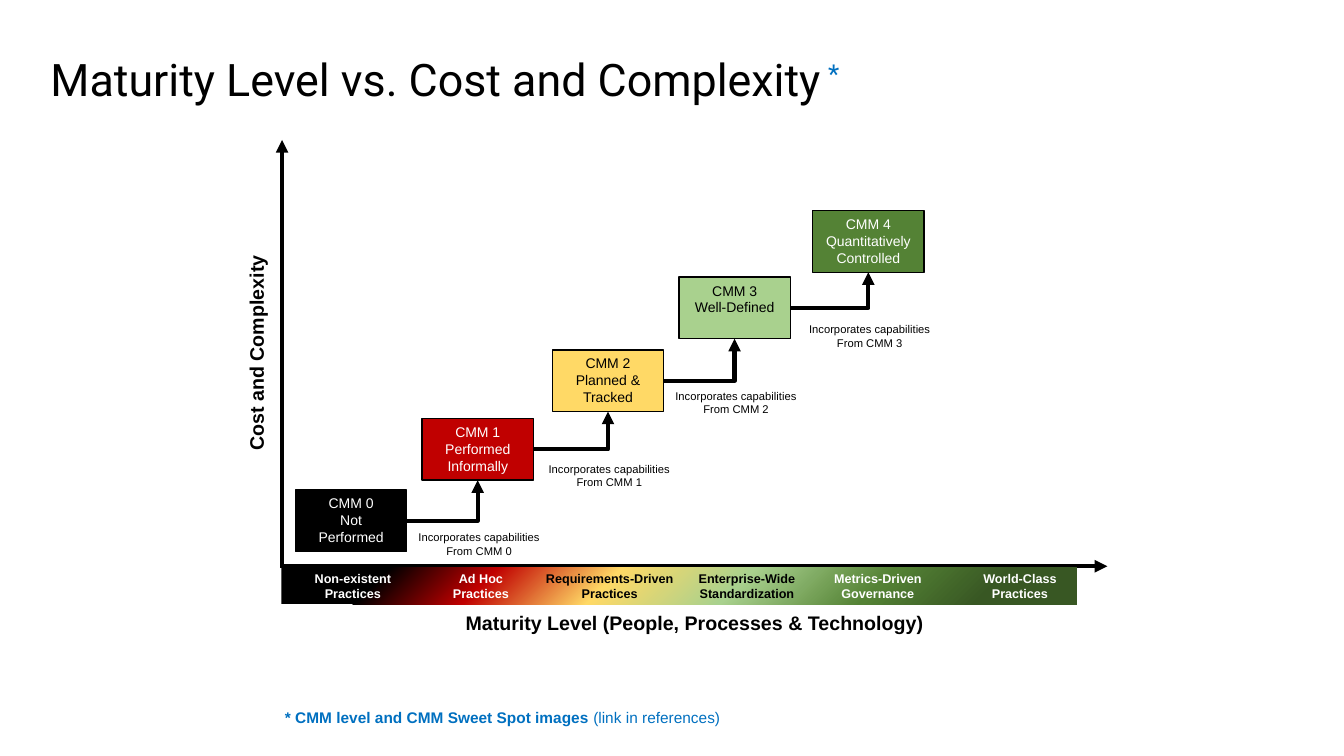
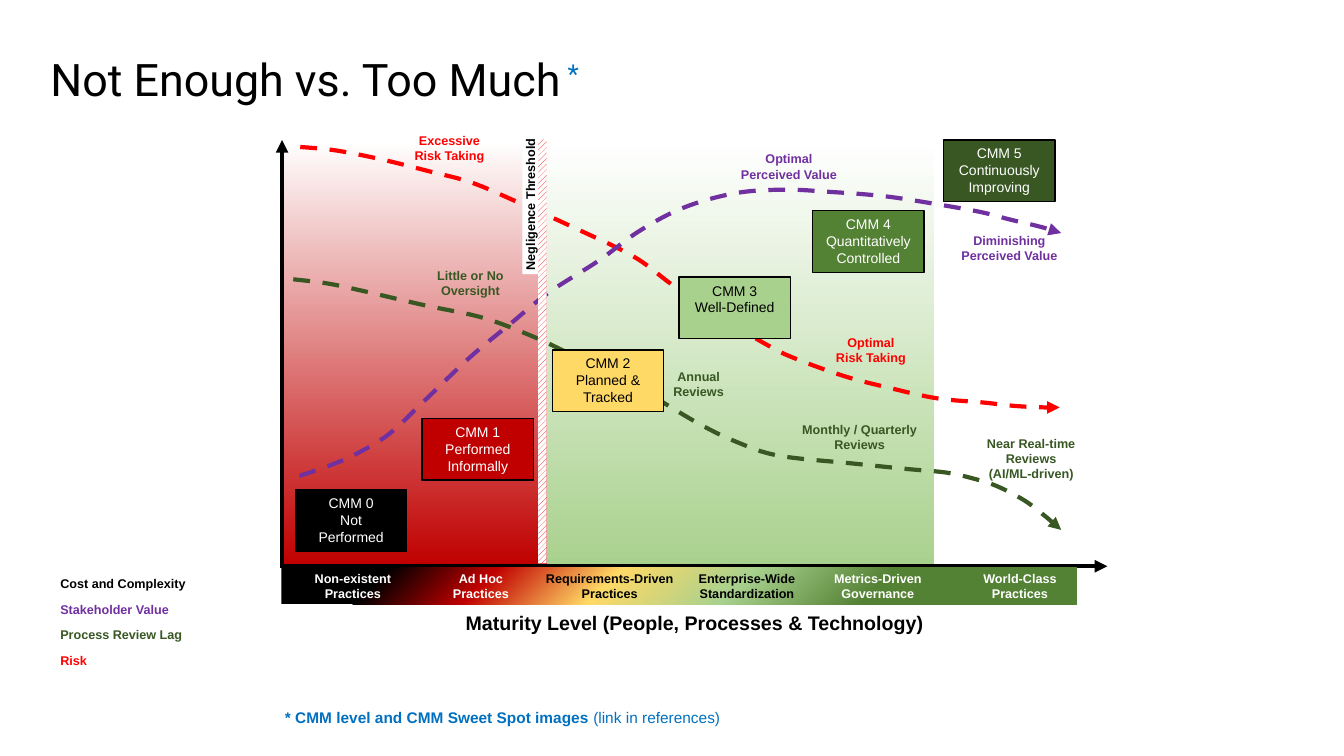
from dataclasses import dataclass
from itertools import pairwise

from lxml.etree import SubElement
from pptx import Presentation
from pptx.dml.color import RGBColor
from pptx.enum.dml import MSO_LINE, MSO_PATTERN
from pptx.enum.shapes import MSO_CONNECTOR, MSO_SHAPE
from pptx.enum.text import MSO_ANCHOR, MSO_AUTO_SIZE, PP_ALIGN
from pptx.oxml.ns import qn
from pptx.util import Pt


@dataclass(frozen=True)
class Theme:
    black: str = "000000"
    white: str = "FFFFFF"
    blue: str = "0070C0"
    crimson: str = "C00000"
    red: str = "FF0000"
    gold: str = "FFD966"
    light: str = "A9D18E"
    green: str = "548235"
    dark: str = "385723"
    purple: str = "7030A0"
    head: str = "Roboto"
    body: str = "Arial"
    title: int = 32
    axis: int = 14
    foot: int = 11
    level: int = 10
    label: int = 9
    small: int = 8
    thick: int = 3
    thin: int = 1


T = Theme()
LEFT, BASE, TOP = 201.5, 404.5, 100
BOX_W, BOX_H = 79.5, 44
NOTE_W = 110

# text, left, top, fill, text colour
LEVELS = [
    ("CMM 0\nNot\nPerformed", 211, 350, T.black, T.white),
    ("CMM 1\nPerformed\nInformally", 301.5, 299, T.crimson, T.white),
    ("CMM 2\nPlanned & Tracked", 394.5, 250, T.gold, T.black),
    ("CMM 3\nWell-Defined", 485, 198, T.light, T.black),
    ("CMM 4\nQuantitatively\nControlled", 580.5, 150.5, T.green, T.white),
    ("CMM 5\nContinuously\nImproving", 674, 100, T.dark, T.white),
]
# text, centre, colour
STAGES = [
    ("Non-existent\nPractices", 252, T.white),
    ("Ad Hoc\nPractices", 343.5, T.white),
    ("Requirements-Driven\nPractices", 435.5, T.black),
    ("Enterprise-Wide\nStandardization", 533.5, T.black),
    ("Metrics-Driven\nGovernance", 627, T.white),
    ("World-Class\nPractices", 728.5, T.white),
]
# text, centre, top, colour
NOTES = [
    ("Excessive\nRisk Taking", 321, 91.5, T.red),
    ("Optimal\nRisk Taking", 622, 235.5, T.red),
    ("Little or No\nOversight", 336, 188, T.dark),
    ("Annual\nReviews", 499, 260, T.dark),
    ("Monthly / Quarterly\nReviews", 614, 298, T.dark),
    ("Near Real-time\nReviews\n(AI/ML-driven)", 736.5, 307.5, T.dark),
    ("Optimal\nPerceived Value", 563.5, 104.5, T.purple),
    ("Diminishing\nPerceived Value", 721, 163, T.purple),
]
LEGEND = [
    ("Cost and Complexity", T.black),
    ("Stakeholder Value", T.purple),
    ("Process Review Lag", T.dark),
    ("Risk", T.red),
]
REVIEW = [
    (209.5, 199.5), (234, 202.5), (260, 208), (303, 218), (345, 227),
    (381, 240.5), (409, 253.5), (440.5, 267), (461.5, 280), (499, 302.5),
    (527, 316), (556.5, 325.5), (608.5, 331), (648, 335), (675.5, 337.5),
    (694, 341.5), (711.5, 347), (731, 357), (744.5, 367), (758, 378.5),
]
RISK = [
    (214.5, 105), (240, 107.5), (273, 114), (307, 122.5), (337, 130.5),
    (370, 144.5), (413, 164), (453, 183.5), (481, 204), (517, 228),
    (550, 247.5), (569, 256.5), (604, 269), (635, 277), (669, 284.5),
    (702, 287.5), (725, 290), (745, 291), (757, 291),
]
VALUE = [
    (214, 340), (237, 332), (255, 324), (278, 310), (303, 286.5),
    (336, 255), (365, 231), (392, 209), (428, 186), (456, 165.5),
    (488, 148.5), (525.5, 138), (561, 135.5), (591, 137), (625, 139.5),
    (651.5, 143), (698, 151), (722, 157), (743, 162), (758, 166.5),
]


def rgb(color):
    return RGBColor.from_string(color)


def style(frame, size, color, bold=False, align=PP_ALIGN.CENTER, face=T.body):
    frame.word_wrap = True
    for para in frame.paragraphs:
        para.alignment = align
        font = para.font
        font.name, font.size, font.bold = face, Pt(size), bold
        font.color.rgb = rgb(color)


def inset(frame, gap):
    frame.margin_left = frame.margin_right = Pt(gap)
    frame.margin_top = frame.margin_bottom = Pt(gap)


def stroke(line, color, width, arrow=True):
    line.color.rgb = rgb(color)
    line.width = Pt(width)
    if arrow:
        SubElement(line._get_or_add_ln(), qn("a:tailEnd"), type="triangle")


def blend(shape, stops, angle):
    """Fill with (percent, colour) stops; the angle runs clockwise."""
    shape.fill.gradient()
    shape.fill.gradient_angle = 360 - angle
    group = shape._element.spPr.find(qn("a:gradFill")).find(qn("a:gsLst"))
    for stop in list(group):
        group.remove(stop)
    for place, color in stops:
        stop = SubElement(group, qn("a:gs"), pos=str(place * 1000))
        SubElement(stop, qn("a:srgbClr"), val=color)


def bend(shape):
    """Turn the straight parts of a freeform into a smooth spline."""
    track = next(shape._element.iter(qn("a:path")))
    knots = [(int(p.get("x")), int(p.get("y"))) for p in track.iter(qn("a:pt"))]
    ends = [knots[0], *knots, knots[-1]]
    for line in track.findall(qn("a:lnTo")):
        track.remove(line)
    for i, (a, b) in enumerate(pairwise(knots)):
        before, after = ends[i], ends[i + 3]
        first = [p + (q - o) / 6 for p, q, o in zip(a, b, before)]
        second = [q - (n - p) / 6 for p, q, n in zip(a, b, after)]
        curve = SubElement(track, qn("a:cubicBezTo"))
        for x, y in (first, second, b):
            SubElement(curve, qn("a:pt"), x=str(round(x)), y=str(round(y)))


class Deck:
    def __init__(self):
        self.file = Presentation()
        self.file.slide_width, self.file.slide_height = Pt(960), Pt(540)
        self.shapes = None

    def page(self, title):
        """Start a slide with its starred title and the footnote."""
        self.shapes = self.file.slides.add_slide(self.file.slide_layouts[5]).shapes
        head = self.shapes.title
        head.left, head.top, head.width, head.height = map(Pt, (36, 36, 888, 41))
        frame = head.text_frame
        frame.auto_size = MSO_AUTO_SIZE.NONE
        frame.vertical_anchor = MSO_ANCHOR.MIDDLE
        inset(frame, 0)
        frame.text = title
        star = frame.paragraphs[0].add_run()
        star.text = " *"
        star.font.color.rgb = rgb(T.blue)
        star.font._element.set("baseline", "30000")
        style(frame, T.title, T.black, align=PP_ALIGN.LEFT, face=T.head)
        foot = self.text("* CMM level and CMM Sweet Spot images ", 196.5, 502.5,
                         479.5, 20.5, T.foot, T.blue, True, PP_ALIGN.LEFT)
        link = foot.text_frame.paragraphs[0].add_run()
        link.text = "(link in references)"
        link.font.bold = False

    def text(self, words, x, y, w, h, size, color, bold=True, align=PP_ALIGN.CENTER):
        box = self.shapes.add_textbox(*map(Pt, (x, y, w, h)))
        box.text_frame.text = words
        style(box.text_frame, size, color, bold, align)
        return box

    def note(self, words, mid, y, color, size=T.label, bold=True):
        """Add a small label centred on mid."""
        high = 7.5 + 10.5 * len(words.split("\n"))
        self.text(words, mid - NOTE_W / 2, y, NOTE_W, high, size, color, bold)

    def rect(self, x, y, w, h):
        shape = self.shapes.add_shape(MSO_SHAPE.RECTANGLE, *map(Pt, (x, y, w, h)))
        shape.shadow.inherit = False
        shape.line.fill.background()
        return shape

    def level(self, words, x, y, fill, color):
        box = self.rect(x, y, BOX_W, BOX_H)
        box.fill.solid()
        box.fill.fore_color.rgb = rgb(fill)
        stroke(box.line, T.black, T.thin, arrow=False)
        box.text_frame.text = words
        box.text_frame.vertical_anchor = MSO_ANCHOR.TOP
        style(box.text_frame, T.level, color)
        return box

    def arrow(self, x1, y1, x2, y2, kind=MSO_CONNECTOR.STRAIGHT):
        line = self.shapes.add_connector(kind, *map(Pt, (x1, y1, x2, y2)))
        stroke(line.line, T.black, T.thick)
        SubElement(line._element.spPr, qn("a:effectLst"))
        return line

    def step(self, low, high):
        """Join a box's right side to the next box's bottom with one bend."""
        line = self.arrow(0, 0, 0, 0, MSO_CONNECTOR.ELBOW)
        line.begin_connect(low, 3)
        line.end_connect(high, 2)
        line._element.spPr.find(qn("a:prstGeom")).set("prst", "bentConnector2")

    def curve(self, knots, color):
        start, *rest = [(Pt(x), Pt(y)) for x, y in knots]
        pen = self.shapes.build_freeform(*start)
        pen.add_line_segments(rest, close=False)
        shape = pen.convert_to_shape()
        bend(shape)
        shape.shadow.inherit = False
        shape.fill.background()
        shape.line.dash_style = MSO_LINE.DASH
        stroke(shape.line, color, T.thick)

    def axes(self, last):
        """Draw both axes and the stage bar, which ends in the last colour."""
        self.arrow(LEFT, BASE, 791, BASE)
        self.arrow(LEFT, BASE + 1, LEFT, TOP)
        self.text("Maturity Level (People, Processes & Technology)",
                  LEFT, 432.5, 589.5, 24.5, T.axis, T.black)
        bar = self.rect(201, 405.5, 568, 26)
        blend(bar, [(0, T.black), (13, T.black), (26, T.crimson), (41, T.gold),
                    (57, T.light), (74, T.green), (88, last), (100, last)], 45)
        for words, mid, color in STAGES:
            self.note(words, mid, 404, color)


def stairs(deck):
    deck.page("Maturity Level vs. Cost and Complexity")
    boxes = [deck.level(*row) for row in LEVELS[:5]]
    for i, (low, high) in enumerate(pairwise(boxes)):
        deck.step(low, high)
        _, x, y, *_ = LEVELS[i + 1]
        deck.note(f"Incorporates capabilities\nFrom CMM {i}",
                  x + BOX_W / 2 + 1, y + 76.5, T.black, T.small, False)
    deck.axes(T.dark)
    side = deck.text("Cost and Complexity", 31, 240, 304.5, 24.5, T.axis, T.black)
    side.rotation = 270


def balance(deck):
    deck.page("Not Enough vs. Too Much")
    for x, wide, color in ((202.5, 189.5, T.crimson), (391, 276.5, T.light)):
        blend(deck.rect(x, TOP, wide, 304), [(0, T.white), (100, color)], 90)
    deck.curve(REVIEW, T.dark)
    deck.curve(RISK, T.red)
    for row in LEVELS:
        deck.level(*row)
    deck.axes(T.green)
    deck.curve(VALUE, T.purple)

    strip = deck.rect(384.5, 99.5, 6, 303)
    strip.fill.patterned()
    strip.fill.pattern = MSO_PATTERN.WIDE_UPWARD_DIAGONAL
    strip.fill.fore_color.rgb = rgb(T.red)
    strip.fill.back_color.rgb = rgb(T.white)
    for row in NOTES:
        deck.note(*row)

    limit = deck.rect(329, 140.5, 99.5, 11)
    limit.rotation = 270
    limit.fill.solid()
    limit.fill.fore_color.rgb = rgb(T.white)
    limit.text_frame.text = "Negligence Threshold"
    inset(limit.text_frame, 0)
    style(limit.text_frame, T.label, T.black, True)
    for i, (words, color) in enumerate(LEGEND):
        deck.text(words, 36, 408 + 18.25 * i, 116.5, 18, T.label, color,
                  align=PP_ALIGN.LEFT)


def main():
    deck = Deck()
    stairs(deck)
    balance(deck)
    deck.file.save("out.pptx")


if __name__ == "__main__":
    main()
